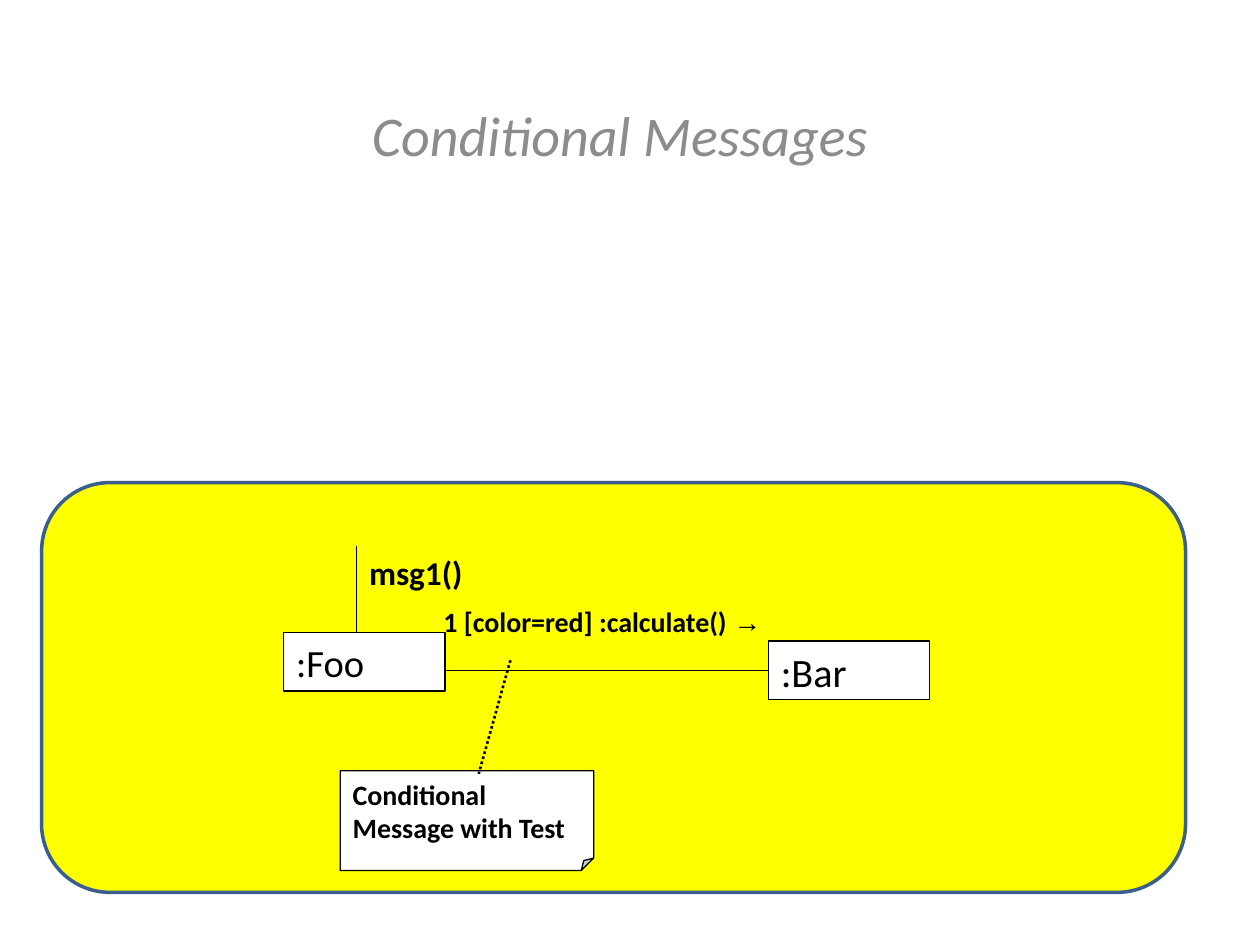
from dataclasses import dataclass

from lxml import etree
from pptx import Presentation
from pptx.dml.color import RGBColor
from pptx.enum.dml import MSO_LINE
from pptx.enum.shapes import MSO_CONNECTOR, MSO_SHAPE
from pptx.enum.text import MSO_ANCHOR, PP_ALIGN
from pptx.oxml.ns import qn
from pptx.shapes.autoshape import Shape
from pptx.shapes.connector import Connector
from pptx.slide import Slide
from pptx.util import Cm, Pt

ROUNDED, RECT, FOLDED = MSO_SHAPE.ROUNDED_RECTANGLE, MSO_SHAPE.RECTANGLE, MSO_SHAPE.FOLDED_CORNER
STRAIGHT = MSO_CONNECTOR.STRAIGHT
DOTTED = MSO_LINE.ROUND_DOT
TOP, BOTTOM = MSO_ANCHOR.TOP, MSO_ANCHOR.BOTTOM
LEFT, CENTER = PP_ALIGN.LEFT, PP_ALIGN.CENTER
LEFT_SIDE = 1

COLORS = {"ink": "000000", "paper": "FFFFFF", "panel": "FFFF00", "border": "3A5F8C", "title": "8C8C8C"}
BODY_FONT, ARROW_FONT = "Calibri", "Times New Roman"


@dataclass(frozen=True)
class Box:
    left: float
    top: float
    width: float
    height: float

    def emu(self) -> tuple[Cm, Cm, Cm, Cm]:
        return Cm(self.left), Cm(self.top), Cm(self.width), Cm(self.height)


@dataclass(frozen=True)
class Participant:
    name: str
    box: Box
    size: int


@dataclass(frozen=True)
class Message:
    text: str
    box: Box
    size: int
    arrow: str = ""


@dataclass(frozen=True)
class Link:
    start: tuple[float, float]
    end: tuple[float, float]
    width: float = 0.75
    dash: MSO_LINE | None = None


FOO = Participant(":Foo", Box(5.72, 12.75, 3.25, 1.18), 22)
BAR = Participant(":Bar", Box(15.49, 12.92, 3.25, 1.18), 23)
INCOMING = Link((7.19, 11), (7.19, 12.75))
FOO_TO_BAR = Link((8.99, 13.51), (15.49, 13.51))
NOTE_ANCHOR = Link((10.29, 13.31), (9.65, 15.6), 1.5, DOTTED)
MESSAGES = (
    Message("msg1()", Box(7.19, 11, 2.87, 1.14), 19),
    Message("1 [color=red] :calculate() ", Box(8.69, 12.07, 7.37, 1.14), 16, "→"),
)


def rgb(name: str) -> RGBColor:
    return RGBColor.from_string(COLORS[name])


def write_text(shape: Shape, text: str, *, size: int, color: str = "ink", bold: bool = False,
               italic: bool = False, align: PP_ALIGN = LEFT, anchor: MSO_ANCHOR = TOP,
               after: int = 10, arrow: str = "") -> None:
    frame = shape.text_frame
    frame.word_wrap = True
    frame.vertical_anchor = anchor
    paragraph = frame.paragraphs[0]
    paragraph.alignment = align
    paragraph.space_after = Pt(after)
    for content, font_name in ((text, BODY_FONT), (arrow, ARROW_FONT)):
        if content:
            run = paragraph.add_run()
            run.text = content
            run.font.name = font_name
            run.font.size = Pt(size)
            run.font.bold = bold
            run.font.italic = italic
            run.font.color.rgb = rgb(color)


def draw_shape(slide: Slide, kind: MSO_SHAPE, box: Box, fill: str = "paper",
               border: str = "ink", width: float = 0.75) -> Shape:
    shape = slide.shapes.add_shape(kind, *box.emu())
    shape.shadow.inherit = False
    shape.fill.solid()
    shape.fill.fore_color.rgb = rgb(fill)
    shape.line.color.rgb = rgb(border)
    shape.line.width = Pt(width)
    return shape


def draw_participant(slide: Slide, participant: Participant) -> Shape:
    shape = draw_shape(slide, RECT, participant.box)
    write_text(shape, participant.name, size=participant.size)
    return shape


def draw_link(slide: Slide, link: Link) -> Connector:
    points = (Cm(value) for value in link.start + link.end)
    connector = slide.shapes.add_connector(STRAIGHT, *points)
    connector.line.color.rgb = rgb("ink")
    connector.line.width = Pt(link.width)
    if link.dash is not None:
        connector.line.dash_style = link.dash
    etree.SubElement(connector._element.spPr, qn("a:effectLst"))
    return connector


def draw_message(slide: Slide, message: Message) -> None:
    label = slide.shapes.add_textbox(*message.box.emu())
    write_text(label, message.text, size=message.size, bold=True, arrow=message.arrow)


def set_fold(note: Shape, ratio: float) -> None:
    guides = next(note._element.spPr.iter(qn("a:avLst")))
    etree.SubElement(guides, qn("a:gd"), name="adj", fmla=f"val {round(ratio * 100000)}")


def main() -> None:
    deck = Presentation()
    deck.slide_width, deck.slide_height = Cm(25.4), Cm(19.05)
    slide = deck.slides.add_slide(deck.slide_layouts[6])

    title = slide.shapes.add_textbox(*Box(3.61, 0.2, 17.78, 3.18).emu())
    title.text_frame.margin_bottom = 0
    write_text(title, "Conditional Messages", size=32, color="title", italic=True,
               align=CENTER, anchor=BOTTOM, after=0)

    draw_shape(slide, ROUNDED, Box(0.84, 9.73, 23.06, 8.26), "panel", "border", 2)
    draw_participant(slide, FOO)
    bar = draw_participant(slide, BAR)
    draw_link(slide, INCOMING)
    draw_link(slide, FOO_TO_BAR).end_connect(bar, LEFT_SIDE)
    for message in MESSAGES:
        draw_message(slide, message)

    note = draw_shape(slide, FOLDED, Box(6.86, 15.54, 5.11, 2.01))
    set_fold(note, 0.125)
    write_text(note, "Conditional Message with Test", size=16, bold=True)
    draw_link(slide, NOTE_ANCHOR)

    deck.save("out.pptx")


if __name__ == "__main__":
    main()
